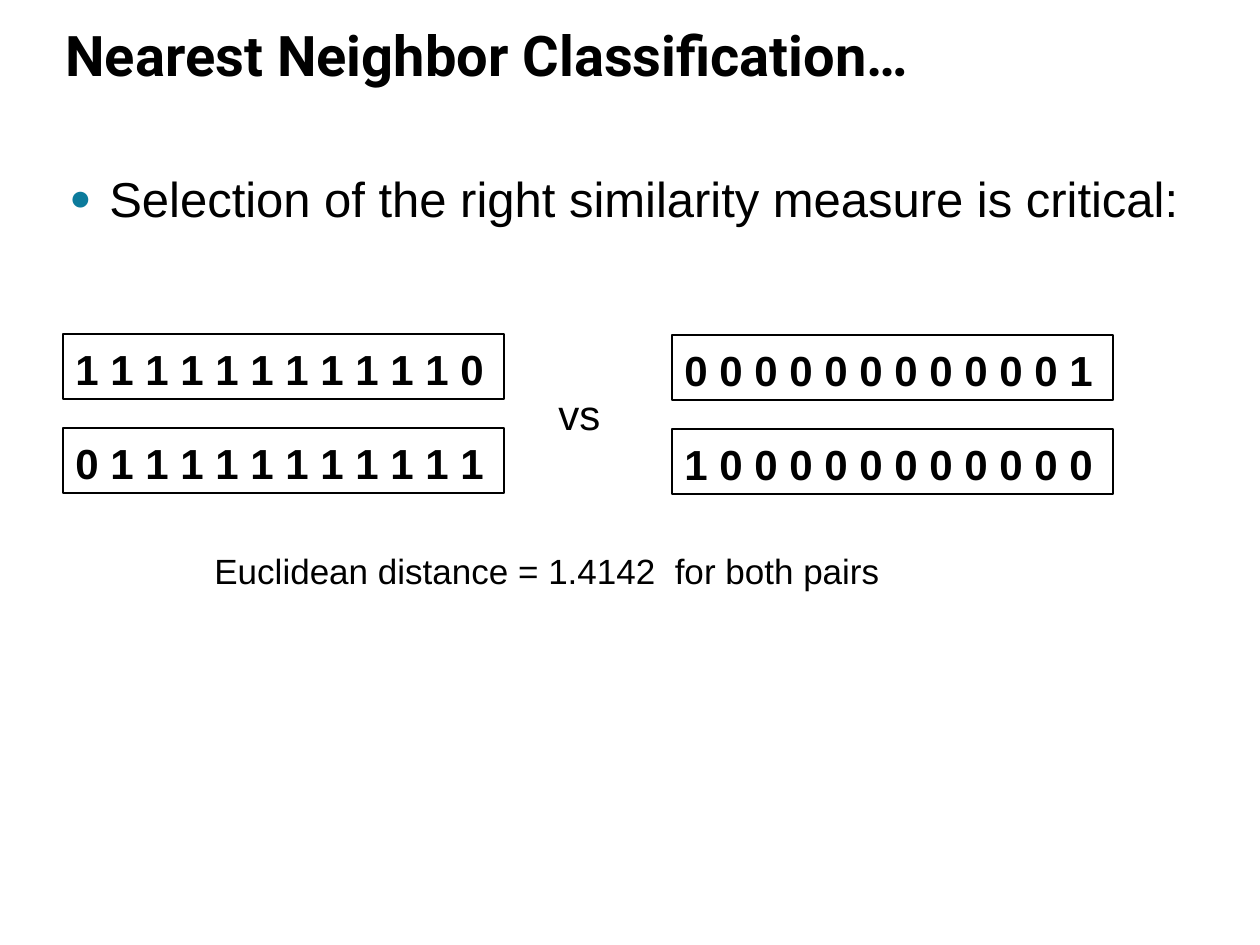
from pptx import Presentation
from pptx.dml.color import RGBColor
from pptx.enum.shapes import MSO_SHAPE as Shape
from pptx.enum.text import MSO_ANCHOR as Anchor, PP_ALIGN as Align
from pptx.util import Pt
from lxml.etree import SubElement
from pptx.oxml.ns import qn

PX = 914400 / 126
BLACK = RGBColor(0, 0, 0)
TEAL = "0C7B9C"


def px(n):
    return round(n * PX)


def write(shape, text, size, bold=False, face="Arial"):
    """Set one left-aligned line of text and return its paragraph."""
    frame = shape.text_frame
    frame.word_wrap = True
    frame.vertical_anchor = Anchor.TOP
    frame.margin_top = px(10)
    para = frame.paragraphs[0]
    para.text = text
    para.alignment = Align.LEFT
    font = para.font
    font.name, font.size, font.bold = face, Pt(size), bold
    font.color.rgb = BLACK
    return para


deck = Presentation()
deck.slide_width, deck.slide_height = px(1260), px(945)
slide = deck.slides.add_slide(deck.slide_layouts[6])
shapes = slide.shapes

# Title
title = shapes.add_textbox(px(53), px(21), px(1142), px(73))
para = write(title, "Nearest Neighbor Classification…", 32, True, "Roboto")
para.line_spacing = Pt(36)
title.text_frame.margin_top = px(6)
title.text_frame.vertical_anchor = Anchor.BOTTOM

# Bullet
body = shapes.add_textbox(px(57), px(158), px(1147), px(714))
para = body.text_frame.paragraphs[0]
props = para._p.get_or_add_pPr()
props.set("marL", str(px(40)))
props.set("indent", str(px(-40)))
color = SubElement(props, qn("a:buClr"))
SubElement(color, qn("a:srgbClr"), val=TEAL)
SubElement(props, qn("a:buSzPct"), val="75000")
SubElement(props, qn("a:buFont"), typeface="Arial")
SubElement(props, qn("a:buChar"), char="●")
write(body, "Selection of the right similarity measure is critical:", 28)

# Two pairs of bit vectors
pairs = [
    (63, 334, ["1 1 1 1 1 1 1 1 1 1 1 0", "0 1 1 1 1 1 1 1 1 1 1 1"]),
    (672, 335, ["0 0 0 0 0 0 0 0 0 0 0 1", "1 0 0 0 0 0 0 0 0 0 0 0"]),
]
for left, top, rows in pairs:
    for i, bits in enumerate(rows):
        box = shapes.add_shape(
            Shape.RECTANGLE, px(left), px(top + 94 * i), px(441), px(65))
        box.shadow.inherit = False
        box.fill.background()
        box.line.color.rgb = BLACK
        box.line.width = Pt(1)
        write(box, bits, 24, True)

# Labels
labels = [
    ("vs", 24, 546, 378, 77, 84),
    ("Euclidean distance = 1.4142  for both pairs", 20, 202, 539, 766, 55),
]
for text, size, left, top, width, height in labels:
    label = shapes.add_textbox(px(left), px(top), px(width), px(height))
    write(label, text, size)

deck.save("out.pptx")
